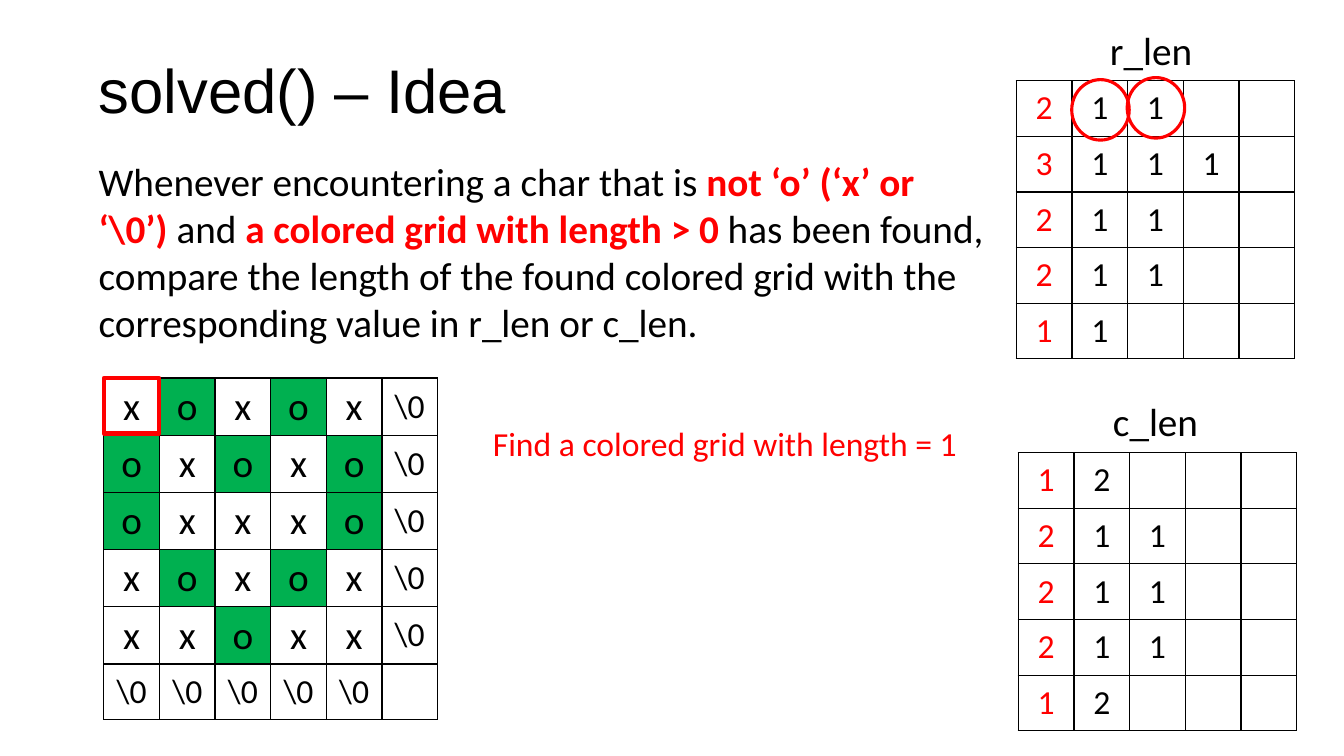
import pptx
import pptx.util
import pptx.dml.color
import pptx.enum.shapes
import pptx.enum.text
from lxml import etree
from pptx.util import Inches, Pt

RGBColor = pptx.dml.color.RGBColor
SHAPE = pptx.enum.shapes.MSO_SHAPE
MIDDLE = pptx.enum.text.MSO_ANCHOR.MIDDLE
TOP = pptx.enum.text.MSO_ANCHOR.TOP
CENTER = pptx.enum.text.PP_ALIGN.CENTER

BLACK = RGBColor(0, 0, 0)
RED = RGBColor(255, 0, 0)
GREEN = RGBColor(0, 176, 80)
DRAWING_NS = "http://schemas.openxmlformats.org/drawingml/2006/main"

TITLE = "solved() – Idea"
# Each part of the explanation: text, emphasised or not
EXPLANATION = [
    ("Whenever encountering a char that is ", False),
    ("not ‘o’ (‘x’ or ‘\\0’) ", True),
    ("and ", False),
    ("a colored grid with length > 0 ", True),
    ("has been found, compare the length of the found colored grid with "
     "the corresponding value in r_len or c_len.", False),
]
FINDING = "Find a colored grid with length = 1"

# The first number of each row is the count of the lengths that follow
R_LEN = [[2, 1, 1], [3, 1, 1, 1], [2, 1, 1], [2, 1, 1], [1, 1]]
C_LEN = [[1, 2], [2, 1, 1], [2, 1, 1], [2, 1, 1], [1, 2]]
PUZZLE = ["xoxox", "oxoxo", "oxxxo", "xoxox", "xxoxx"]
END = "\\0"

# Label, label position, table position, lengths
LENGTH_TABLES = [
    ("r_len", (10.91, 0.21), (10.08, 0.8), R_LEN),
    ("c_len", (10.94, 3.89), (10.1, 4.49), C_LEN),
]
CELL = 0.55
LENGTHS_SIZE = 2.76
GRID_AT = (1.03, 3.75)
GRID_SIZE = (3.31, 3.31)

# Shape, box, line width
MARKERS = [
    (SHAPE.RECTANGLE, (*GRID_AT, CELL, CELL), 3),
    (SHAPE.OVAL, (10.63, 0.79, 0.57, 0.6), 2.25),
    (SHAPE.OVAL, (11.18, 0.77, 0.57, 0.6), 2.25),
]


def add_run(p, text, size=28, font="Calibri", color=BLACK, bold=False):
    r = p.add_run()
    r.text = text
    r.font.size = Pt(size)
    r.font.name = font
    r.font.color.rgb = color
    r.font.bold = bold


def add_text(s, box, parts, anchor=TOP, spacing=None):
    """Add a text box from (text, format) parts."""
    tf = s.shapes.add_textbox(*map(Inches, box)).text_frame
    tf.word_wrap = True
    tf.vertical_anchor = anchor
    p = tf.paragraphs[0]
    p.line_spacing = spacing
    for text, fmt in parts:
        add_run(p, text, **fmt)


def add_borders(cell):
    tc_pr = cell._tc.get_or_add_tcPr()
    for side in "LRTB":
        ln = etree.SubElement(tc_pr, f"{{{DRAWING_NS}}}ln{side}", w=str(Pt(1)))
        fill = etree.SubElement(ln, f"{{{DRAWING_NS}}}solidFill")
        etree.SubElement(fill, f"{{{DRAWING_NS}}}srgbClr", val=str(BLACK))


def add_grid(s, at, size, rows, cell_format):
    """Add a square table; cell_format(text, column) gives run format and fill."""
    n = len(rows)
    box = map(Inches, (*at, *size))
    table = s.shapes.add_table(n, n, *box).table
    table.first_row = table.horz_banding = False
    for i, row in enumerate(rows):
        table.rows[i].height = Inches(size[1] / n)
        table.columns[i].width = Inches(size[0] / n)
        for j in range(n):
            cell = table.cell(i, j)
            cell.vertical_anchor = MIDDLE
            add_borders(cell)
            cell.fill.background()
            if j < len(row):
                text = str(row[j])
                fmt, fill = cell_format(text, j)
                p = cell.text_frame.paragraphs[0]
                p.alignment = CENTER
                add_run(p, text, **fmt)
                if fill:
                    cell.fill.solid()
                    cell.fill.fore_color.rgb = fill


def length_format(text, column):
    return {"size": 24, "color": BLACK if column else RED}, None


def puzzle_format(text, column):
    return {"size": 24 if text == END else 28}, GREEN if text == "o" else None


def main():
    prs = pptx.Presentation()
    prs.slide_width, prs.slide_height = Inches(13.33), Inches(7.5)
    s = prs.slides.add_slide(prs.slide_layouts[6])

    for label, label_at, table_at, lengths in LENGTH_TABLES:
        add_grid(s, table_at, (LENGTHS_SIZE, LENGTHS_SIZE), lengths, length_format)
        add_text(s, (*label_at, 1.08, 0.57), [(label, {})])

    add_text(s, (0.88, 0.2, 11.5, 1.45), [(TITLE, {"size": 44, "font": "Arial"})],
             anchor=MIDDLE, spacing=0.9)
    puzzle_rows = [[*row, END] for row in PUZZLE] + [[END] * len(PUZZLE)]
    add_grid(s, GRID_AT, GRID_SIZE, puzzle_rows, puzzle_format)
    add_text(s, (0.88, 1.51, 8.98, 1.99),
             [(text, {"color": RED if strong else BLACK, "bold": strong})
              for text, strong in EXPLANATION])
    add_text(s, (4.79, 4.15, 4.86, 0.5), [(FINDING, {"size": 24, "color": RED})])

    for kind, box, width in MARKERS:
        sp = s.shapes.add_shape(kind, *map(Inches, box))
        sp.shadow.inherit = False
        sp.fill.background()
        sp.line.color.rgb = RED
        sp.line.width = Pt(width)

    prs.save("out.pptx")


if __name__ == "__main__":
    main()
